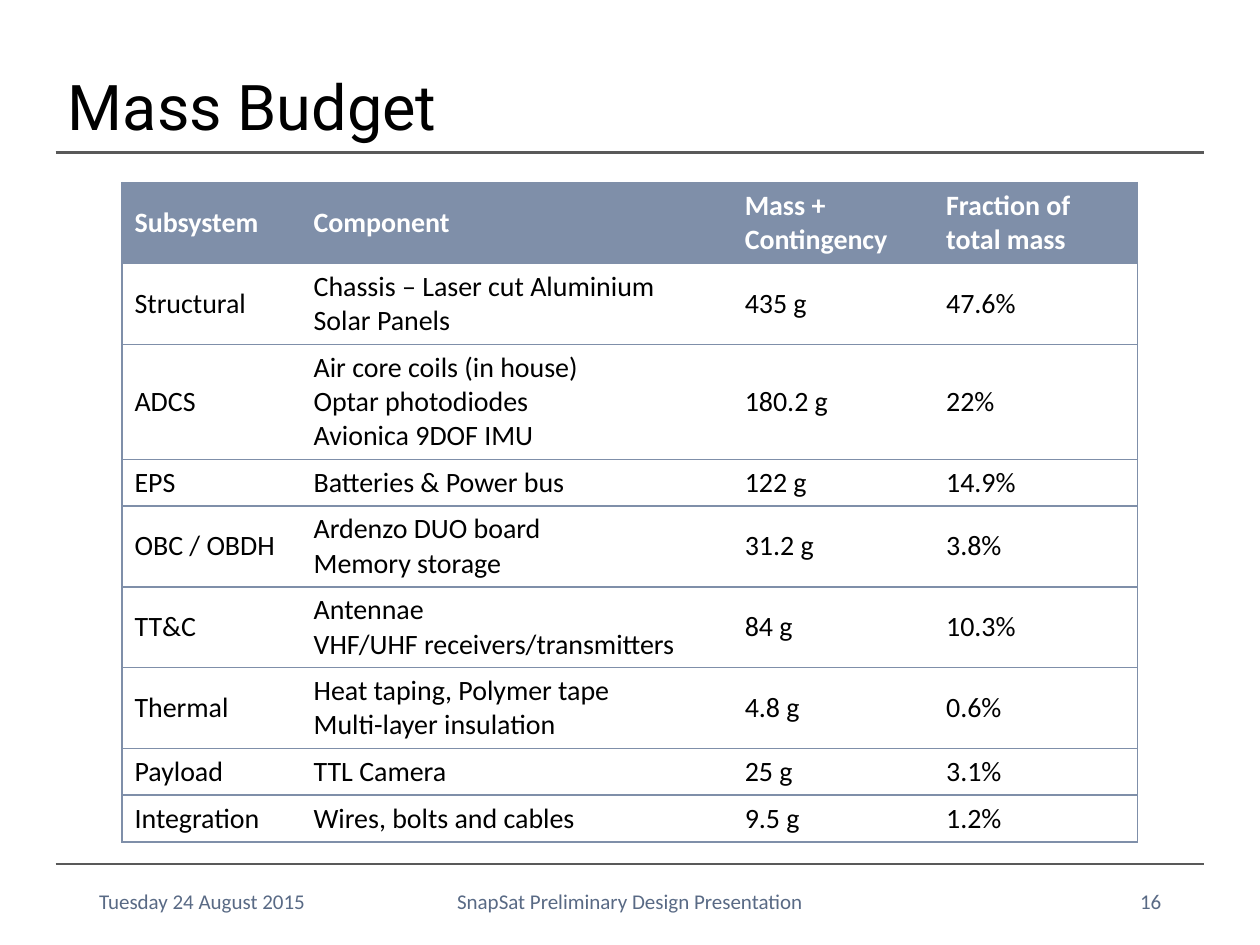
from lxml import etree
from pptx import Presentation
from pptx.dml.color import RGBColor
from pptx.enum.shapes import MSO_CONNECTOR
from pptx.enum.text import MSO_ANCHOR, PP_ALIGN
from pptx.oxml.ns import qn
from pptx.util import Cm, Pt

STRAIGHT = MSO_CONNECTOR.STRAIGHT
TOP, MIDDLE = MSO_ANCHOR.TOP, MSO_ANCHOR.MIDDLE
LEFT, CENTER, RIGHT = PP_ALIGN.LEFT, PP_ALIGN.CENTER, PP_ALIGN.RIGHT

BLACK = RGBColor(0x00, 0x00, 0x00)
WHITE = RGBColor(0xFF, 0xFF, 0xFF)
RULE_GREY = RGBColor(0x59, 0x59, 0x59)
TABLE_BLUE = RGBColor(0x7F, 0x8F, 0xA9)
FOOTER_BLUE = RGBColor(0x59, 0x6A, 0x85)

TITLE_FORMAT = {"name": "Roboto", "size": Pt(36)}
HEADER_FORMAT = {"name": "Calibri", "size": Pt(16), "bold": True}
BODY_FORMAT = {"name": "Calibri", "size": Pt(16), "bold": False}
FOOTER_FORMAT = {"name": "Calibri", "size": Pt(12)}

COLUMN_WIDTHS = (3.61, 8.69, 4.06, 4.11)
COMPONENT_COLUMN = 1
LINE_HEIGHT, CELL_PADDING = 0.69, 0.25

# A \n starts a new paragraph, a \v breaks the line within one
HEADER = ("Subsystem", "Component", "Mass + Contingency", "Fraction of total mass")
BUDGET = [
    ("Structural", "Chassis – Laser cut Aluminium\vSolar Panels", "435 g", "47.6%"),
    ("ADCS", "Air core coils (in house)\nOptar photodiodes\nAvionica 9DOF IMU",
     "180.2 g", "22%"),
    ("EPS", "Batteries & Power bus", "122 g", "14.9%"),
    ("OBC / OBDH", "Ardenzo DUO board\nMemory storage", "31.2 g", "3.8%"),
    ("TT&C", "Antennae\nVHF/UHF receivers/transmitters", "84 g", "10.3%"),
    ("Thermal", "Heat taping, Polymer tape\nMulti-layer insulation", "4.8 g", "0.6%"),
    ("Payload", "TTL Camera", "25 g", "3.1%"),
    ("Integration", "Wires, bolts and cables", "9.5 g", "1.2%"),
]


def write_text(frame, text, font_format, color, alignment=LEFT, line_spacing=None):
    frame.word_wrap = True
    frame.text = text
    for paragraph in frame.paragraphs:
        paragraph.alignment = alignment
        paragraph.line_spacing = line_spacing
        for run in paragraph.runs:
            for name, value in font_format.items():
                setattr(run.font, name, value)
            run.font.color.rgb = color
        # Line breaks carry their own text size
        for line_break in paragraph._p.findall(qn("a:br")):
            size = str(int(font_format["size"].pt * 100))
            etree.SubElement(line_break, qn("a:rPr"), sz=size)


def add_text(slide, left, top, width, height, *text_settings):
    shape = slide.shapes.add_textbox(Cm(left), Cm(top), Cm(width), Cm(height))
    shape.text_frame.vertical_anchor = MIDDLE
    write_text(shape.text_frame, *text_settings)


def add_rule(slide, left, top, width):
    rule = slide.shapes.add_connector(
        STRAIGHT, Cm(left), Cm(top), Cm(left + width), Cm(top))
    rule.line.color.rgb = RULE_GREY
    rule.line.width = Pt(1.5)
    etree.SubElement(rule._element.spPr, qn("a:effectLst"))


def set_borders(cell, visible_sides):
    properties = cell._tc.get_or_add_tcPr()
    for index, side in enumerate("LRTB"):
        border = etree.Element(qn(f"a:ln{side}"), w=str(Pt(1)))
        if side in visible_sides:
            fill = etree.SubElement(border, qn("a:solidFill"))
            etree.SubElement(fill, qn("a:srgbClr"), val=str(TABLE_BLUE))
        else:
            etree.SubElement(border, qn("a:noFill"))
        properties.insert(index, border)


def add_title(slide, left, top, width, height):
    add_rule(slide, left, top + height, width)
    add_text(slide, left, top, 16.51, height, "Mass Budget", TITLE_FORMAT, BLACK,
             LEFT, 0.9)


def add_budget_table(slide, left, top):
    # Row height follows the tallest cell; the header wraps onto two lines
    line_counts = [2] + [len(row[COMPONENT_COLUMN].splitlines()) for row in BUDGET]
    heights = [CELL_PADDING + LINE_HEIGHT * count for count in line_counts]
    rows = [HEADER] + BUDGET
    table = slide.shapes.add_table(
        len(rows), len(HEADER), Cm(left), Cm(top),
        Cm(sum(COLUMN_WIDTHS)), Cm(sum(heights))).table
    table.first_row = table.horz_banding = False
    for column, width in zip(table.columns, COLUMN_WIDTHS):
        column.width = Cm(width)

    last_column = len(HEADER) - 1
    for row_index, (values, height) in enumerate(zip(rows, heights)):
        table.rows[row_index].height = Cm(height)
        is_header = row_index == 0
        font_format = HEADER_FORMAT if is_header else BODY_FORMAT
        for column_index, value in enumerate(values):
            cell = table.cell(row_index, column_index)
            cell.fill.solid()
            cell.fill.fore_color.rgb = TABLE_BLUE if is_header else WHITE
            is_component = column_index == COMPONENT_COLUMN and not is_header
            cell.vertical_anchor = TOP if is_component else MIDDLE
            write_text(cell.text_frame, value, font_format,
                       WHITE if is_header else BLACK)
            outer_side = {0: "L", last_column: "R"}.get(column_index, "")
            set_borders(cell, "TB" + outer_side)


def add_footer(slide, left, top, width):
    add_rule(slide, left, top, width)
    footer_parts = [
        (0.63, 5.72, "Tuesday 24 August 2015", LEFT),
        (7.29, 8.58, "SnapSat Preliminary Design Presentation", CENTER),
        (16.82, 5.72, "16", RIGHT),
    ]
    for offset, part_width, text, alignment in footer_parts:
        add_text(slide, left + offset, top + 0.23, part_width, 1.02, text,
                 FOOTER_FORMAT, FOOTER_BLUE, alignment)


def main():
    presentation = Presentation()
    presentation.slide_width, presentation.slide_height = Cm(25.4), Cm(19.05)
    slide = presentation.slides.add_slide(presentation.slide_layouts[6])
    add_title(slide, 1.12, 1.37, 23.16, 1.7)
    add_budget_table(slide, 2.46, 3.68)
    add_footer(slide, 1.12, 17.42, 23.16)
    presentation.save("out.pptx")


if __name__ == "__main__":
    main()
